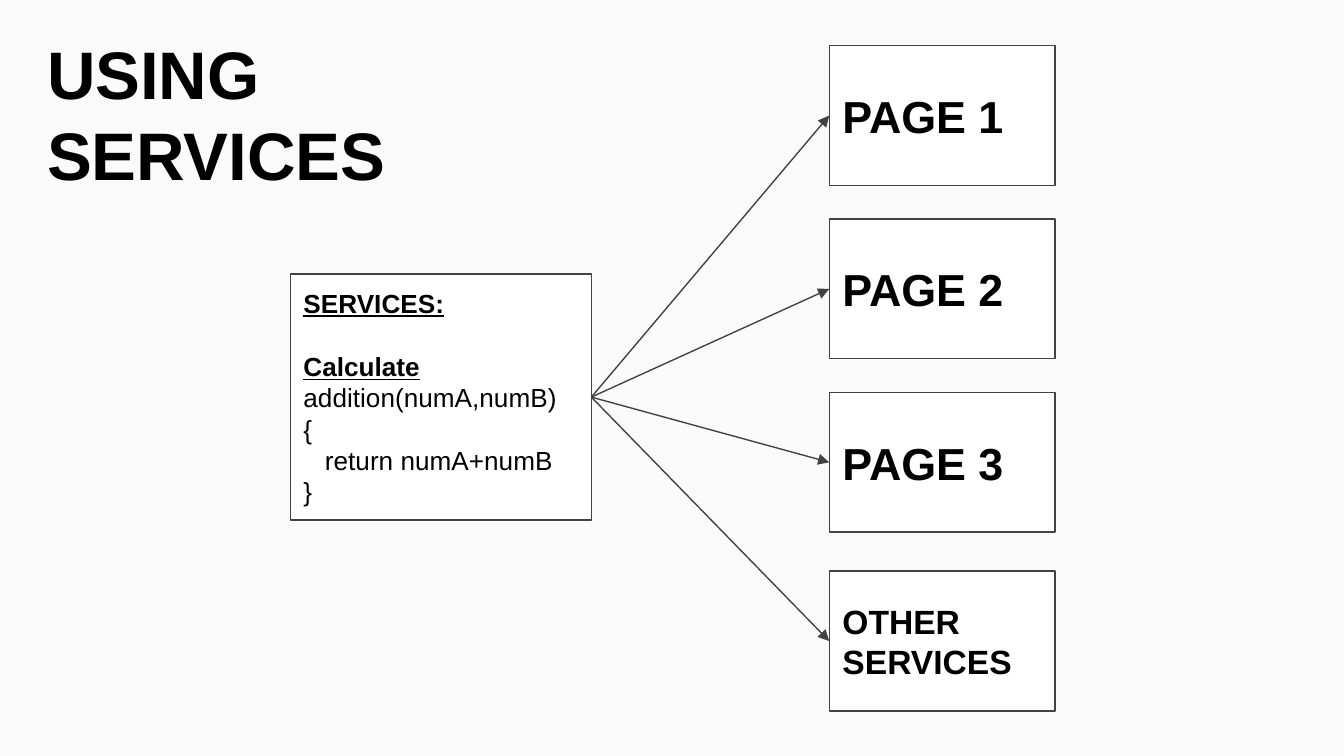
from dataclasses import dataclass

from lxml.etree import SubElement
from pptx import Presentation
from pptx.dml.color import RGBColor
from pptx.enum.shapes import MSO_CONNECTOR, MSO_SHAPE
from pptx.enum.text import MSO_ANCHOR, MSO_AUTO_SIZE, PP_ALIGN
from pptx.oxml.ns import qn
from pptx.util import Inches, Pt

INK, EDGE, WHITE, PAPER = "000000", "424242", "FFFFFF", "FAFAFA"
LEFT, WIDTH, HEIGHT = 6.17, 1.68, 1.04


@dataclass
class Line:
    text: str
    size: float
    bold: bool = True
    under: bool = False
    before: float = 0
    indent: float = 0


@dataclass
class Target:
    text: str
    top: float
    size: float = 24


CODE = [
    Line("SERVICES:", 14, under=True),
    Line("Calculate", 14, under=True, before=17),
    Line("addition(numA,numB)", 14, bold=False),
    Line("{", 14, bold=False),
    Line("return numA+numB", 14, bold=False, indent=0.16),
    Line("}", 14, bold=False),
]
TARGETS = [Target(f"PAGE {i + 1}", 0.34 + 1.29 * i) for i in range(3)]
TARGETS.append(Target("OTHER SERVICES", 4.25, 18))


def color(code: str) -> RGBColor:
    return RGBColor.from_string(code)


def write(shape, lines: list[Line], anchor: MSO_ANCHOR) -> None:
    frame = shape.text_frame
    frame.word_wrap = True
    frame.auto_size = MSO_AUTO_SIZE.NONE
    frame.vertical_anchor = anchor
    frame.margin_left = frame.margin_right = Inches(0.1)
    frame.margin_top = frame.margin_bottom = Inches(0.1)
    for i, line in enumerate(lines):
        para = frame.add_paragraph() if i else frame.paragraphs[0]
        para.alignment = PP_ALIGN.LEFT
        if line.before:
            para.space_before = Pt(line.before)
        if line.indent:
            para._p.get_or_add_pPr().set("marL", str(Inches(line.indent)))
        run = para.add_run()
        run.text = line.text
        font = run.font
        font.name, font.size = "Arial", Pt(line.size)
        font.bold, font.underline = line.bold, line.under
        font.color.rgb = color(INK)


def add_box(slide, left: float, top: float, width: float, height: float,
            lines: list[Line]):
    box = slide.shapes.add_shape(
        MSO_SHAPE.RECTANGLE,
        Inches(left), Inches(top), Inches(width), Inches(height))
    box.shadow.inherit = False
    box.fill.solid()
    box.fill.fore_color.rgb = color(WHITE)
    box.line.color.rgb = color(EDGE)
    box.line.width = Pt(0.75)
    write(box, lines, MSO_ANCHOR.MIDDLE)
    return box


def add_arrow(slide, start, end) -> None:
    """Join the right side of start to the left side of end."""
    arrow = slide.shapes.add_connector(MSO_CONNECTOR.STRAIGHT, 0, 0, 0, 0)
    arrow.begin_connect(start, 3)
    arrow.end_connect(end, 1)
    arrow.line.color.rgb = color(EDGE)
    arrow.line.width = Pt(0.75)
    SubElement(arrow.line._get_or_add_ln(), qn("a:tailEnd"), type="triangle")
    SubElement(arrow._element.spPr, qn("a:effectLst"))


def main() -> None:
    deck = Presentation()
    deck.slide_width = Inches(10)
    deck.slide_height = deck.slide_width * 9 // 16
    slide = deck.slides.add_slide(deck.slide_layouts[5])
    slide.background.fill.solid()
    slide.background.fill.fore_color.rgb = color(PAPER)

    title = slide.shapes.title
    title.left, title.top = Inches(0.25), Inches(0.14)
    title.width, title.height = Inches(4.14), Inches(1.49)
    write(title, [Line("USING SERVICES", 36)], MSO_ANCHOR.TOP)

    source = add_box(slide, 2.16, 2.04, 2.24, 1.83, CODE)
    boxes = [add_box(slide, LEFT, t.top, WIDTH, HEIGHT, [Line(t.text, t.size)])
             for t in TARGETS]
    for box in boxes:
        add_arrow(slide, source, box)

    deck.save("out.pptx")


if __name__ == "__main__":
    main()
